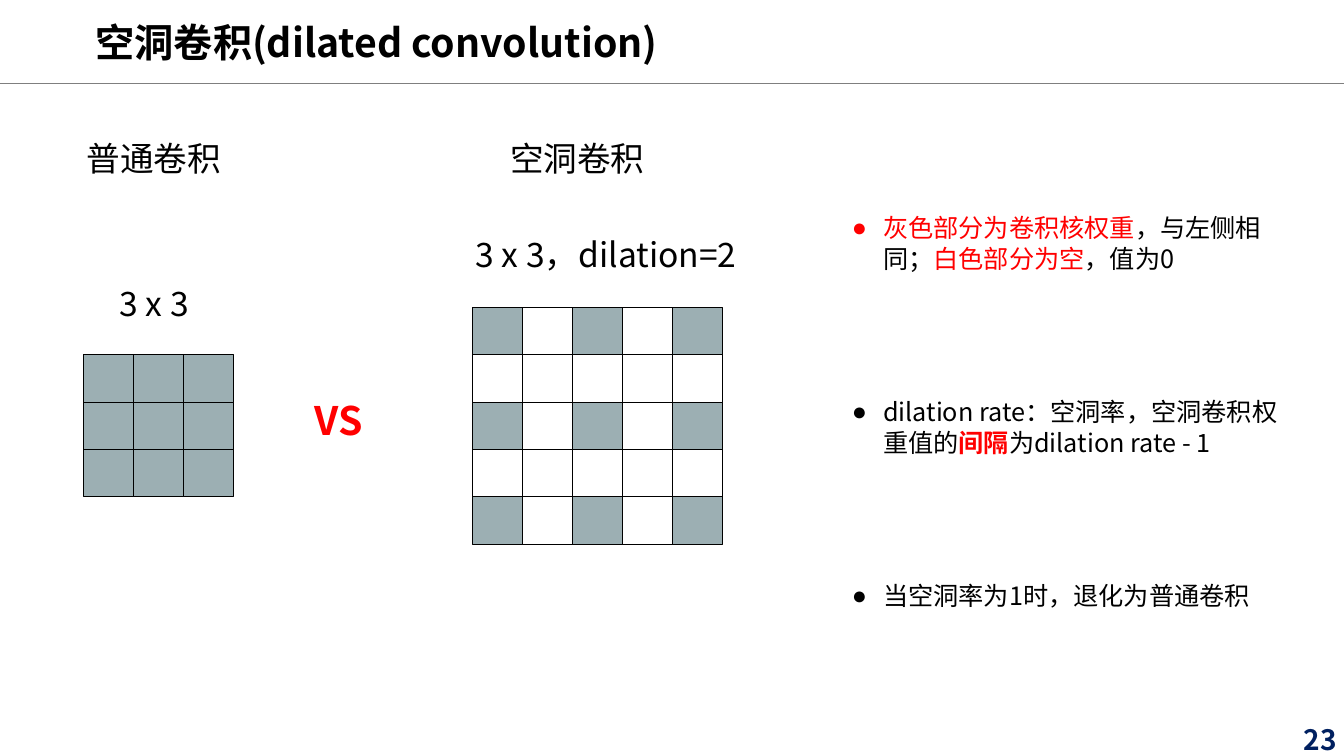
from dataclasses import dataclass

from lxml import etree
from pptx import Presentation
from pptx import util as u
from pptx.dml.color import RGBColor
from pptx.enum import shapes, text
from pptx.oxml import ns


@dataclass(frozen=True)
class Theme:
    font: str = "Noto Sans CJK SC"
    bullet_font: str = "Arial"
    black: str = "000000"
    red: str = "FF0000"
    navy: str = "002060"
    weight: str = "9CAFB3"
    rule: str = "7F7F7F"
    title: int = 28
    label: int = 24
    number: int = 20
    body: int = 18


THEME = Theme()
CELL_WIDTH, CELL_HEIGHT = 0.495, 0.47


def add_child(parent, tag, **attributes):
    return etree.SubElement(parent, ns.qn(tag), attributes)


def format_run(run, size, color, bold):
    run.font.size = u.Pt(size)
    run.font.bold = bold
    run.font.color.rgb = RGBColor.from_string(color)
    run.font.name = THEME.font
    add_child(run.font._element, "a:ea", typeface=THEME.font)


def add_text(slide, box, segments, size, wrap=False, bullet=False):
    frame = slide.shapes.add_textbox(*map(u.Inches, box)).text_frame
    frame.word_wrap = wrap
    frame.auto_size = text.MSO_AUTO_SIZE.SHAPE_TO_FIT_TEXT
    paragraph = frame.paragraphs[0]
    if bullet:
        properties = paragraph._p.get_or_add_pPr()
        indent = u.Inches(0.31)
        properties.set("marL", str(indent))
        properties.set("indent", str(-indent))
        add_child(properties, "a:buFont", typeface=THEME.bullet_font)
        add_child(properties, "a:buChar", char="●")
    for words, color, bold in segments:
        run = paragraph.add_run()
        run.text = words
        format_run(run, size, color, bold)


def add_header(slide, left, top, width):
    add_text(slide, (left + 0.85, top + 0.13, 12.2, 0.57),
             [("空洞卷积(dilated convolution)", THEME.black, True)], THEME.title, wrap=True)
    rule_top = u.Inches(top + 0.83)
    rule = slide.shapes.add_connector(shapes.MSO_CONNECTOR.STRAIGHT, u.Inches(left), rule_top,
                                      u.Inches(left + width), rule_top)
    rule.line.color.rgb = RGBColor.from_string(THEME.rule)
    rule.line.width = u.Pt(1)
    add_child(rule._element.spPr, "a:effectLst")


def add_kernel(slide, left, top, size, dilation):
    group = slide.shapes.add_group_shape()
    for row in range(size):
        for column in range(size):
            cell = group.shapes.add_shape(
                shapes.MSO_SHAPE.RECTANGLE,
                u.Inches(left + column * CELL_WIDTH), u.Inches(top + row * CELL_HEIGHT),
                u.Inches(CELL_WIDTH), u.Inches(CELL_HEIGHT))
            cell.shadow.inherit = False
            if row % dilation == 0 and column % dilation == 0:
                cell.fill.solid()
                cell.fill.fore_color.rgb = RGBColor.from_string(THEME.weight)
            else:
                cell.fill.background()
            cell.line.color.rgb = RGBColor.from_string(THEME.black)
            cell.line.width = u.Pt(0.75)


def add_comparison(slide, left, top):
    labels = [
        (0, 0, 1.55, "普通卷积"),
        (4.2, 0, 1.55, "空洞卷积"),
        (0.33, 1.44, 0.97, "3 x 3"),
        (3.86, 0.95, 2.97, "3 x 3，dilation=2"),
    ]
    for x, y, width, words in labels:
        add_text(slide, (left + x, top + y, width, 0.5),
                 [(words, THEME.black, False)], THEME.label)
    add_kernel(slide, left + 0.07, top + 2.2, 3, 1)
    add_kernel(slide, left + 3.93, top + 1.73, 5, 2)
    add_text(slide, (left + 2.26, top + 2.56, 0.71, 0.57),
             [("VS", THEME.red, True)], THEME.title)


def add_notes_column(slide, left, top, width):
    points = [
        [("灰色部分为卷积核权重", THEME.red, False), ("，与左侧相同；", THEME.black, False),
         ("白色部分为空", THEME.red, False), ("，值为0", THEME.black, False)],
        [("dilation rate：空洞率，空洞卷积权重值的", THEME.black, False),
         ("间隔", THEME.red, True), ("为dilation rate - 1", THEME.black, False)],
        [("当空洞率为1时，退化为普通卷积", THEME.black, False)],
    ]
    for index, segments in enumerate(points):
        height = 0.71 if len(segments) > 1 else 0.4
        add_text(slide, (left, top + index * 1.825, width, height), segments,
                 THEME.body, wrap=True, bullet=True)


def add_slide_number(slide, left, top):
    add_text(slide, (left, top, 0.54, 0.44), [("23", THEME.navy, True)], THEME.number)


def main():
    presentation = Presentation()
    presentation.slide_width = u.Inches(13.33)
    presentation.slide_height = u.Inches(7.5)
    slide = presentation.slides.add_slide(presentation.slide_layouts[6])
    add_header(slide, 0, 0, 13.33)
    add_comparison(slide, 0.76, 1.32)
    add_notes_column(slide, 8.35, 2.06, 4.46)
    add_slide_number(slide, 12.83, 7.12)
    presentation.save("out.pptx")


if __name__ == "__main__":
    main()
